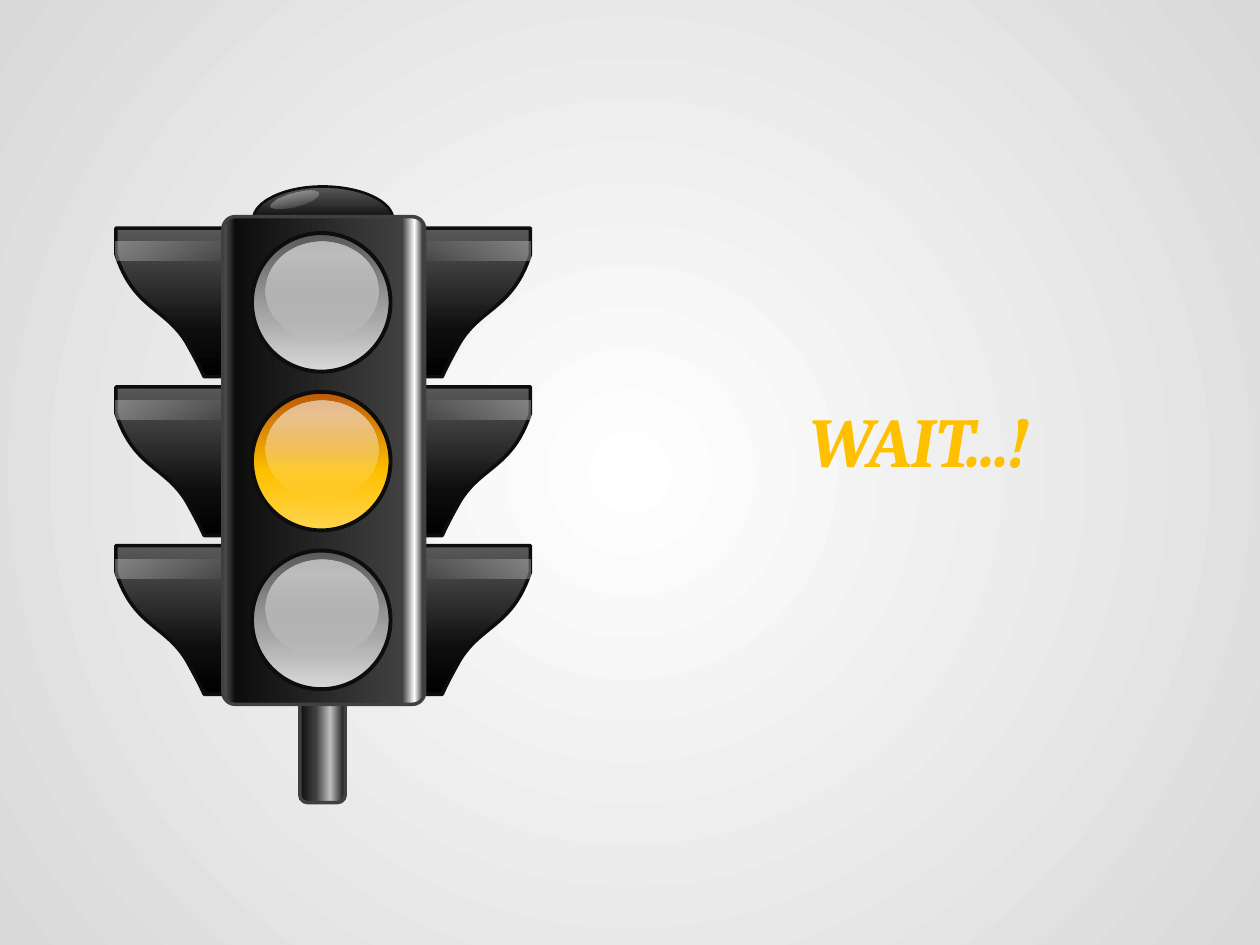
from lxml import etree
from pptx import Presentation
from pptx.dml.color import RGBColor
from pptx.enum import shapes, text
from pptx.oxml import ns
from pptx.util import Inches, Pt

CAPTION = "WAIT...!"
AMBER, BLACK, GREY = "FFC000", "0D0D0D", "404040"

BACKDROP = [(0, "FFFFFF"), (100, "D9D9D9")]
POLE = [(0, BLACK), (36, GREY), (67, "BFBFBF"), (100, BLACK)]
DOME = [(0, "595959"), (100, "000000")]
VISOR = [(0, "595959"), (70, BLACK), (100, "000000")]
HOUSING = [(0, "595959"), (6, BLACK), (89, GREY), (95, "FFFFFF"), (100, BLACK)]
LAMP_OFF = [(0, "595959"), (60, "A6A6A6"), (100, "D9D9D9")]
LAMP_ON = [(0, "BC5908"), (58, AMBER), (100, "FFD54F")]
LAMPS = [LAMP_OFF, LAMP_ON, LAMP_OFF]
VISOR_SHEEN = [(0, "FFFFFF", 30), (100, "FFFFFF", 0)]
DOME_SHEEN = [(0, "FFFFFF", 50), (100, "FFFFFF", 0)]
LAMP_SHEEN = [(15, "FFFFFF", 55), (100, "FFFFFF", 0)]

DOME_OUTLINE = [[(2.56, 1.48)], [(2.87, 1.48), (3.12, 1.6), (3.12, 1.74)],
                [(3.11, 1.79)], [(2.02, 1.79)],
                [(2.02, 1.77), (2.01, 1.76), (2.01, 1.74)],
                [(2.01, 1.6), (2.26, 1.48), (2.56, 1.48)]]
VISOR_OUTLINE = [[(0, 0)], [(0.95, 0)], [(0.95, 1.18)], [(0.7, 1.18)],
                 [(0.66, 1.09), (0.61, 1), (0.56, 0.91)],
                 [(0.39, 0.63), (0.14, 0.64), (0, 0.21)], [(0, 0)]]
SHEEN_OUTLINE = [[(0, 0.11)], [(0.95, 0.11)], [(0.95, 0.26)],
                 [(0.01, 0.26)], [(0.01, 0.24), (0, 0.23), (0, 0.21)]]
ROW_PITCH = 1.26
VISOR_TOP, LAMP_TOP = 1.81, 1.85
VISOR_EDGES = [(4.21, -1), (0.92, 1)]


def color(value):
    return RGBColor.from_string(value)


def gradient(stops, angle=None):
    fill = etree.Element(ns.qn("a:gradFill"), rotWithShape="1")
    stop_list = etree.SubElement(fill, ns.qn("a:gsLst"))
    for position, value, *alpha in stops:
        stop = etree.SubElement(stop_list, ns.qn("a:gs"), pos=str(position * 1000))
        tint = etree.SubElement(stop, ns.qn("a:srgbClr"), val=value)
        if alpha:
            etree.SubElement(tint, ns.qn("a:alpha"), val=str(alpha[0] * 1000))
    if angle is None:
        centre = etree.SubElement(fill, ns.qn("a:path"), path="circle")
        etree.SubElement(centre, ns.qn("a:fillToRect"),
                         **dict.fromkeys("ltrb", "50000"))
    else:
        etree.SubElement(fill, ns.qn("a:lin"), ang=str(angle * 60000), scaled="0")
    return fill


def paint(part, stops, angle, line=None):
    part.shadow.inherit = False
    part.fill.background()
    properties = part._element.spPr
    properties.replace(properties.find(ns.qn("a:noFill")), gradient(stops, angle))
    if line:
        part.line.color.rgb = color(line[0])
        part.line.width = Pt(line[1])
    else:
        part.line.fill.background()
    return part


def preset(group, kind, box, stops, angle, line=None):
    part = group.shapes.add_shape(kind, *map(Inches, box))
    return paint(part, stops, angle, line)


def freeform(group, outline, stops, angle, line=None, left=0, top=0, side=1):
    steps = [[(Inches(left + side * x), Inches(top + y)) for x, y in step]
             for step in outline]
    anchors = [step[-1] for step in steps]
    builder = group.shapes.build_freeform(*anchors[0])
    builder.add_line_segments(anchors[1:], close=True)
    part = builder.convert_to_shape()
    segments = list(part._element.iter(ns.qn("a:lnTo")))
    for segment, step in zip(segments, steps[1:]):
        if len(step) == 3:
            curve = etree.Element(ns.qn("a:cubicBezTo"))
            for x, y in step:
                etree.SubElement(curve, ns.qn("a:pt"),
                                 x=str(x - part.left), y=str(y - part.top))
            segment.getparent().replace(segment, curve)
    return paint(part, stops, angle, line)


def draw_light(slide):
    light = slide.shapes.add_group_shape()
    rounded, oval = shapes.MSO_SHAPE.ROUNDED_RECTANGLE, shapes.MSO_SHAPE.OVAL
    preset(light, rounded, (2.38, 5.16, 0.36, 1.21), POLE, 0, (GREY, 2))
    freeform(light, DOME_OUTLINE, DOME, 90, (BLACK, 1.5))
    for edge, side in VISOR_EDGES:
        for row in range(len(LAMPS)):
            place = dict(left=edge, top=VISOR_TOP + row * ROW_PITCH, side=side)
            freeform(light, VISOR_OUTLINE, VISOR, 90, (BLACK, 2), **place)
            freeform(light, SHEEN_OUTLINE, VISOR_SHEEN, 0 if side > 0 else 180, **place)
    housing = preset(light, rounded, (1.77, 1.72, 1.6, 3.87), HOUSING, 0, (GREY, 2))
    housing.adjustments[0] = 0.06
    glint = preset(light, oval, (2.14, 1.53, 0.39, 0.11), DOME_SHEEN, 90)
    glint.rotation = 344.6
    for row, lamp in enumerate(LAMPS):
        top = LAMP_TOP + row * ROW_PITCH
        preset(light, oval, (2, top, 1.1, 1.1), lamp, 90, (BLACK, 2.25))
        preset(light, oval, (2.11, top + 0.07, 0.89, 0.78), LAMP_SHEEN, 90)


def write_caption(slide):
    title = slide.shapes.title
    title.left, title.top, title.width, title.height = map(Inches, (4.92, 2.9, 4.75, 1.18))
    frame = title.text_frame
    frame.word_wrap = True
    frame.auto_size = text.MSO_AUTO_SIZE.NONE
    frame.vertical_anchor = text.MSO_ANCHOR.MIDDLE
    paragraph = frame.paragraphs[0]
    paragraph.alignment = text.PP_ALIGN.CENTER
    run = paragraph.add_run()
    run.text = CAPTION
    run.font.name, run.font.size = "Cambria", Pt(40)
    run.font.bold = run.font.italic = True
    run.font.color.rgb = color(AMBER)


def main():
    deck = Presentation()
    deck.slide_width, deck.slide_height = Inches(10), Inches(7.5)
    slide = deck.slides.add_slide(deck.slide_layouts[5])
    slide.background.fill.solid()
    backdrop = slide._element.cSld.bg.bgPr
    backdrop.replace(backdrop.find(ns.qn("a:solidFill")), gradient(BACKDROP))
    draw_light(slide)
    write_caption(slide)
    deck.save("out.pptx")


if __name__ == "__main__":
    main()
